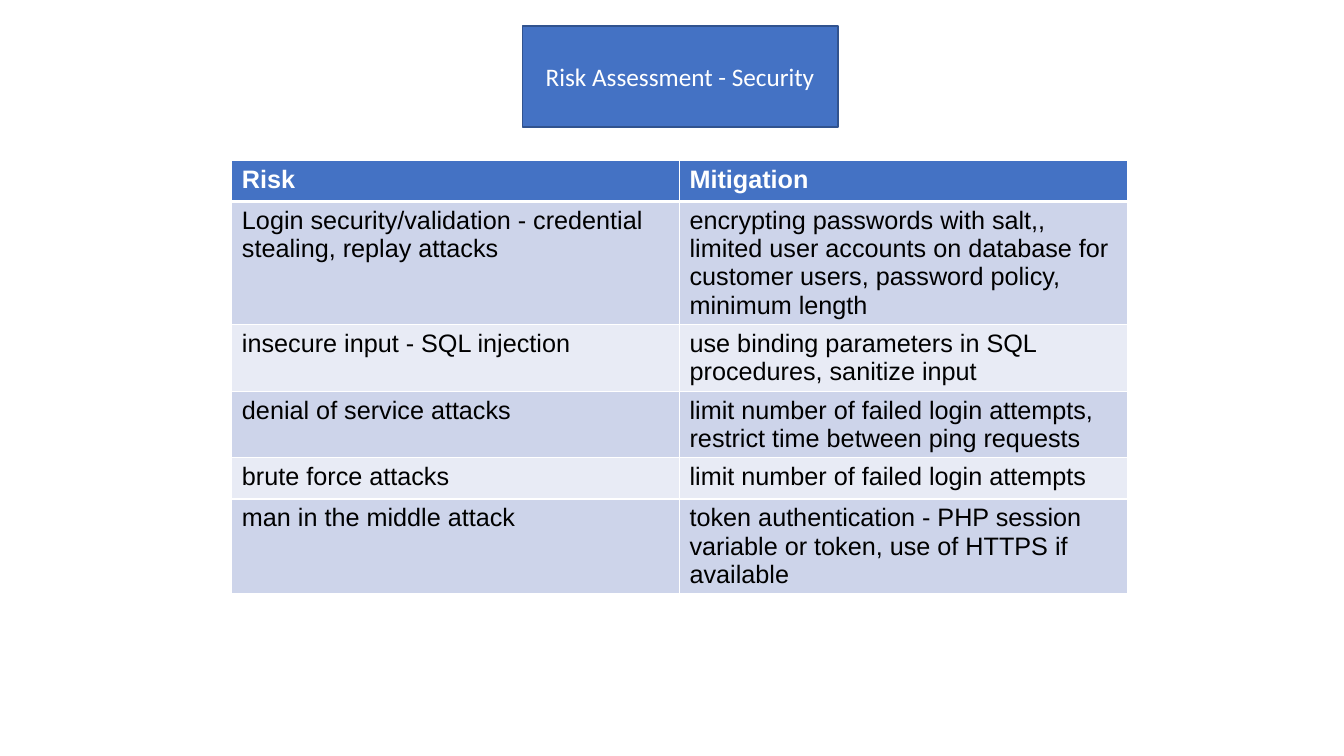
from lxml.etree import SubElement
from pptx import Presentation
from pptx.dml.color import RGBColor
from pptx.enum.text import MSO_ANCHOR, MSO_AUTO_SIZE, PP_ALIGN
from pptx.oxml import parse_xml
from pptx.oxml.ns import nsdecls, qn
from pptx.util import Inches, Pt

COLORS = {"head": "4472C4", "edge": "31538F", "odd": "CDD4EA",
          "even": "E8EBF5", "white": "FFFFFF", "black": "000000"}
RISKS = [
    ("Risk", "Mitigation"),
    ("Login security/validation - credential stealing, replay attacks",
     "encrypting passwords with salt,, limited user accounts on database "
     "for customer users, password policy, minimum length"),
    ("insecure input - SQL injection",
     "use binding parameters in SQL procedures, sanitize input"),
    ("denial of service attacks",
     "limit number of failed login attempts, "
     "restrict time between ping requests"),
    ("brute force attacks", "limit number of failed login attempts"),
    ("man in the middle attack",
     "token authentication - PHP session variable or token, "
     "use of HTTPS if available"),
]


def color(name):
    """Return the named colour."""
    return RGBColor.from_string(COLORS[name])


class Deck:
    """Holds the style and the current slide."""

    def __init__(self):
        """Open a wide deck with one title-only slide."""
        self.show = Presentation()
        self.show.slide_width = Inches(13.33)
        self.show.slide_height = Inches(7.5)
        self.slide = self.show.slides.add_slide(self.show.slide_layouts[5])
        self.size = Pt(18)

    def label(self, para, text, font, ink, bold=False):
        """Add one run to a paragraph."""
        run = para.add_run()
        run.text = text
        run.font.name = font
        run.font.size = self.size
        run.font.bold = bold
        run.font.color.rgb = color(ink)

    def title(self, text, left, top, width, height):
        """Format the title placeholder as a rounded box."""
        box = self.slide.shapes.title
        box.left, box.top = Inches(left), Inches(top)
        box.width, box.height = Inches(width), Inches(height)
        box.element.spPr.append(parse_xml(
            f'<a:prstGeom {nsdecls("a")} prst="roundRect"><a:avLst/></a:prstGeom>'))
        box.fill.solid()
        box.fill.fore_color.rgb = color("head")
        box.line.color.rgb = color("edge")
        box.line.width = Pt(1)
        frame = box.text_frame
        frame.word_wrap = True
        frame.auto_size = MSO_AUTO_SIZE.NONE
        frame.vertical_anchor = MSO_ANCHOR.MIDDLE
        para = frame.paragraphs[0]
        para.alignment = PP_ALIGN.CENTER
        self.label(para, text, "Calibri", "white")

    def border(self, cell, top, base):
        """Draw white cell borders, with top and bottom widths in points."""
        props = cell._tc.get_or_add_tcPr()
        sides = (("L", 1), ("R", 1), ("T", top), ("B", base))
        for index, (side, width) in enumerate(sides):
            line = SubElement(props, qn(f"a:ln{side}"), w=str(Pt(width)))
            props.insert(index, line)
            fill = SubElement(line, qn("a:solidFill"))
            SubElement(fill, qn("a:srgbClr"), val=COLORS["white"])

    def table(self, rows, left, top, width, height):
        """Add a banded table; width and height are those of one cell."""
        count = len(rows[0])
        grid = self.slide.shapes.add_table(
            len(rows), count, Inches(left), Inches(top),
            Inches(width * count), Inches(height * len(rows))).table
        for r, texts in enumerate(rows):
            head = r == 0
            band = "head" if head else "odd" if r % 2 else "even"
            for c, text in enumerate(texts):
                cell = grid.cell(r, c)
                cell.fill.solid()
                cell.fill.fore_color.rgb = color(band)
                self.border(cell, 3 if r == 1 else 1, 3 if head else 1)
                self.label(cell.text_frame.paragraphs[0], text, "Arial",
                           "white" if head else "black", head)


deck = Deck()
deck.title("Risk Assessment - Security", 5.18, 0.26, 3.13, 1)
deck.table(RISKS, 2.3, 1.59, 4.44, 0.41)
deck.show.save("out.pptx")
